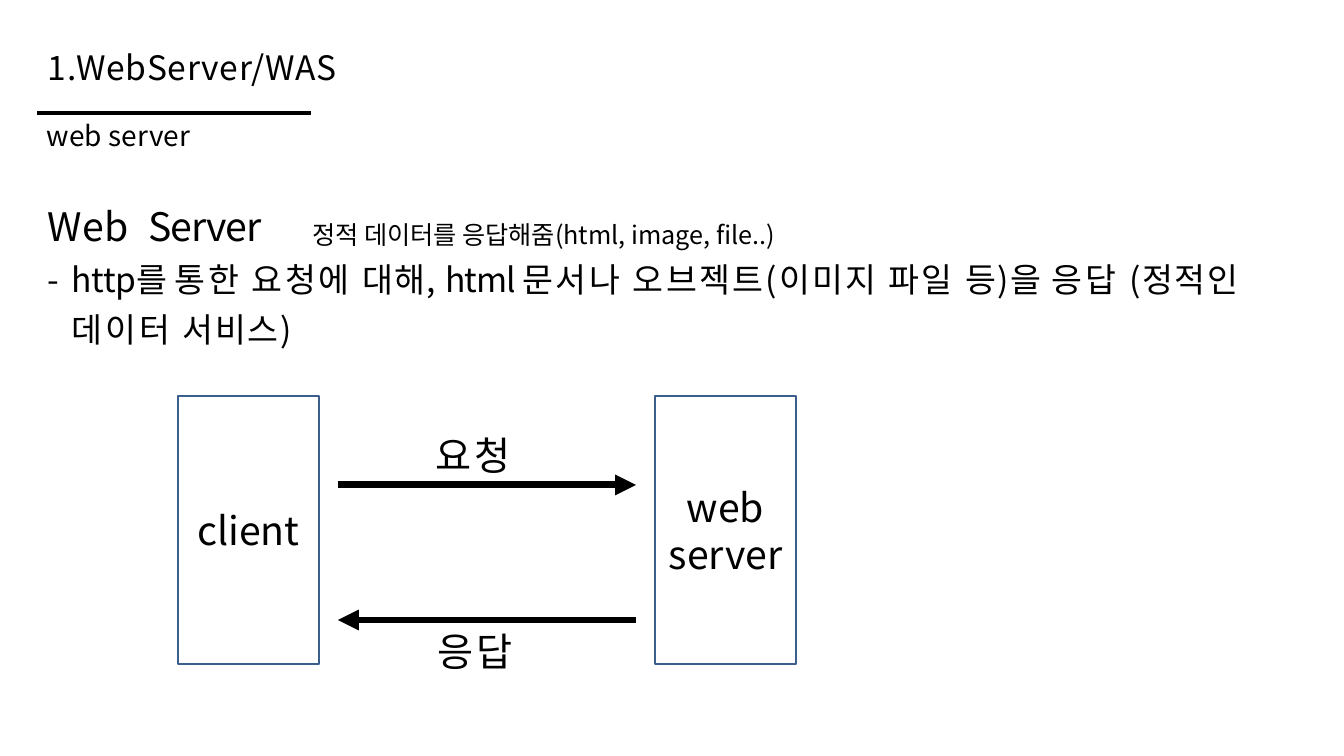
"""Build a slide that explains how a web server answers a client."""
from lxml import etree
from pptx import Presentation, util as u
from pptx.dml.color import RGBColor
from pptx.enum import shapes, text
from pptx.oxml.ns import qn

FONT = "Noto Sans CJK KR"
BLACK = RGBColor(0, 0, 0)
BLUE = RGBColor(0x3A, 0x5F, 0x8C)
SCALE = 914400 / 100.8
SIZE = (1344, 756)

# Paragraph: size, points before, left px, indent px, runs of (text, tracking)
INTRO = [
    (24, 1, 2, 0, [("1.WebServer/WAS", 0.5)]),
    (20, 22, 1, 0, [("web ", 0), ("server", 0.1)]),
    (28, 36, 2, 0, [("Web\t", 0), ("Server", -0.8)]),
    (24, 0, 26, -24, [
        ("- ", 1.5), ("http를 ", -0.2), ("통한 요청에 ", 1.9), ("대해, ", 0.8),
        ("html ", -0.9), ("문서나 ", 1.9), ("오브젝트(이미지 ", 1.6),
        ("파일 ", 1.9), ("등)을 ", 1), ("응답 ", 1.9), ("(정적인 ", 1.2),
        ("데이터 ", 1.9), ("서비스)", 1.2)]),
]
NOTE = [(18, 0, 0, 0, [("정적 데이터를 응답해줌(html, image, file..)", 0)])]
TAB = 97
LEAD = 1.24
RULE = (37, 113, 311, 113)
NODES = [(178, ["client"]), (655, ["web", "server"])]
TOP, WIDE, TALL, GAP = 396, 141, 268, 19
FLOWS = [("요청", 485, 435, 430, True), ("응답", 620, 437, 626, False)]


def px(n):
    return u.Emu(round(n * SCALE))


def write(frame, paras, align=None):
    frame.word_wrap = True
    for i, (size, before, left, hang, runs) in enumerate(paras):
        para = frame.paragraphs[0] if i == 0 else frame.add_paragraph()
        para.alignment = align
        para.space_before = u.Pt(before)
        props = para._p.get_or_add_pPr()
        props.set("marL", str(px(left)))
        props.set("indent", str(px(hang)))
        for words, track in runs:
            run = para.add_run()
            run.text = words
            run.font.size = u.Pt(size)
            run.font.name = FONT
            run.font.color.rgb = BLACK
            mark = run._r.get_or_add_rPr()
            mark.set("spc", str(round(track * 100)))
            etree.SubElement(mark, qn("a:ea"), typeface=FONT)


def add_text(slide, place, paras, inset=(0, 1)):
    frame = slide.shapes.add_textbox(*map(px, place)).text_frame
    frame.margin_left = frame.margin_right = px(inset[0])
    frame.margin_top = px(inset[1])
    frame.margin_bottom = px(inset[0] // 2)
    write(frame, paras)
    return frame


def add_line(slide, ends, width, arrow=False):
    line = slide.shapes.add_connector(shapes.MSO_CONNECTOR.STRAIGHT, *map(px, ends))
    line.line.color.rgb = BLACK
    line.line.width = u.Pt(width)
    if arrow:
        etree.SubElement(line.line._get_or_add_ln(), qn("a:tailEnd"), type="triangle")
    etree.SubElement(line._element.spPr, qn("a:effectLst"))


def add_node(slide, left, words):
    box = slide.shapes.add_shape(
        shapes.MSO_SHAPE.RECTANGLE, *map(px, (left, TOP, WIDE, TALL)))
    box.shadow.inherit = False
    box.fill.background()
    box.line.color.rgb = BLUE
    box.line.width = u.Pt(2)
    box.text_frame.vertical_anchor = text.MSO_ANCHOR.MIDDLE
    paras = [(28, 0, 0, 0, [(word, 0)]) for word in words]
    write(box.text_frame, paras, text.PP_ALIGN.CENTER)


def main():
    deck = Presentation()
    deck.slide_width, deck.slide_height = map(px, SIZE)
    slide = deck.slides.add_slide(deck.slide_layouts[6])

    add_line(slide, RULE, 2.28)
    intro = add_text(slide, (46, 46, 1196, 306), INTRO)
    head, body = intro.paragraphs[2:]
    tabs = etree.SubElement(head._p.get_or_add_pPr(), qn("a:tabLst"))
    etree.SubElement(tabs, qn("a:tab"), pos=str(px(TAB)), algn="l")
    body.line_spacing = LEAD

    start = NODES[0][0] + WIDE + GAP
    end = NODES[1][0] - GAP
    for word, y, left, top, ahead in FLOWS:
        ends = (start, y, end, y) if ahead else (end, y, start, y)
        add_line(slide, ends, 5, True)
        add_text(slide, (left, top, 130, 48), [(28, 1, 1, 0, [(word, 2.1)])])
    for left, words in NODES:
        add_node(slide, left, words)
    add_text(slide, (302, 214, 600, 40), NOTE, (10, 5))
    deck.save("out.pptx")


if __name__ == "__main__":
    main()
